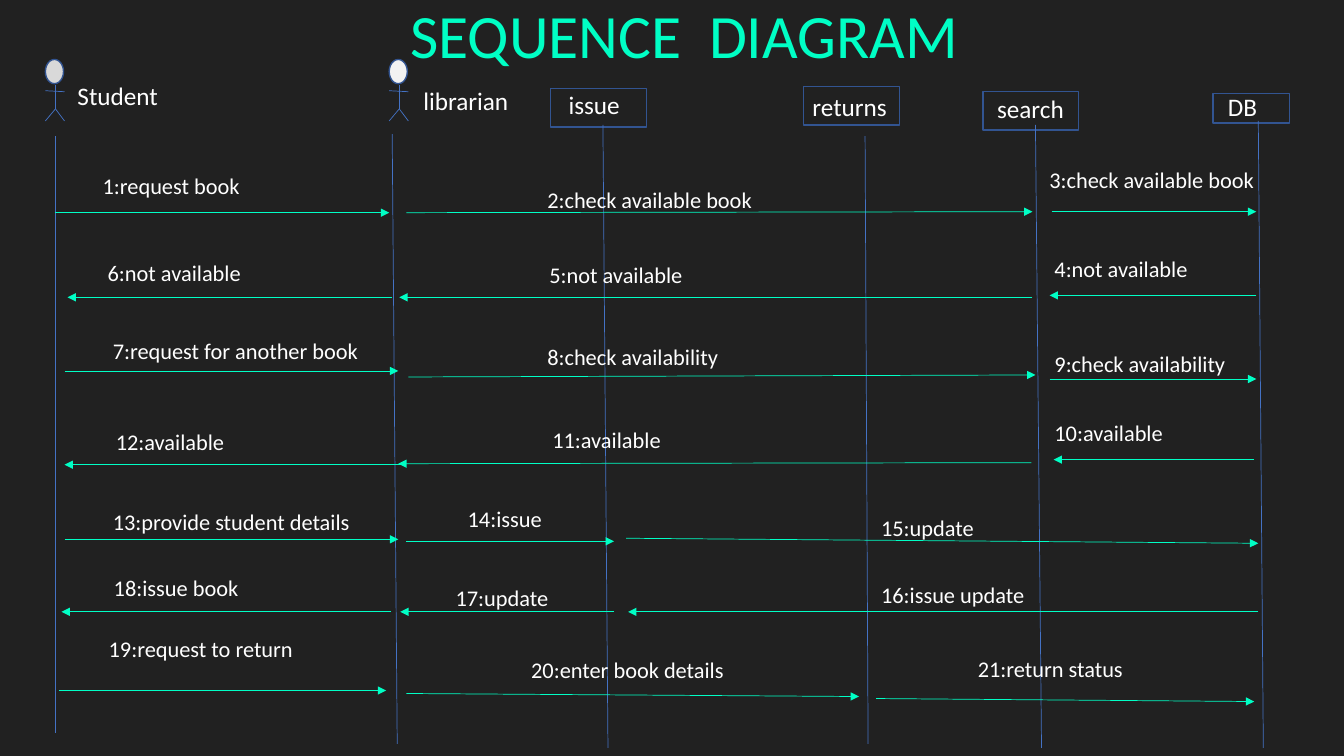
from pptx import Presentation
from pptx.dml.color import RGBColor
from pptx.enum.shapes import MSO_CONNECTOR, MSO_SHAPE
from pptx.enum.text import MSO_AUTO_SIZE
from pptx.oxml.ns import qn
from pptx.util import Inches, Pt
from lxml.etree import SubElement

BACKGROUND = RGBColor(0x21, 0x21, 0x21)
MINT = RGBColor(0x00, 0xFF, 0xC5)
WHITE = RGBColor(0xFF, 0xFF, 0xFF)
BLUE = RGBColor(0x44, 0x72, 0xC4)
OUTLINE = RGBColor(0x32, 0x54, 0x91)
LIGHT_GREY = RGBColor(0xD9, 0xD9, 0xD9)
PALE_GREY = RGBColor(0xF2, 0xF2, 0xF2)

deck = Presentation()
deck.slide_width, deck.slide_height = Inches(13.33), Inches(7.5)
page = deck.slides.add_slide(deck.slide_layouts[6])
page.background.fill.solid()
page.background.fill.fore_color.rgb = BACKGROUND


def add_text(text, *, left, top, width, height=0.37, size=16, color=WHITE, wrap=True):
    box = page.shapes.add_textbox(Inches(left), Inches(top), Inches(width), Inches(height))
    box.text_frame.word_wrap = wrap
    box.text_frame.auto_size = MSO_AUTO_SIZE.SHAPE_TO_FIT_TEXT
    span = box.text_frame.paragraphs[0].add_run()
    span.text = text
    span.font.name = "Calibri"
    span.font.size = Pt(size)
    span.font.color.rgb = color


def add_line(x1, y1, x2, y2, color=BLUE, arrow=False):
    line = page.shapes.add_connector(
        MSO_CONNECTOR.STRAIGHT, Inches(x1), Inches(y1), Inches(x2), Inches(y2))
    line.line.color.rgb = color
    line.line.width = Pt(0.5)
    if arrow:
        SubElement(line.line._get_or_add_ln(), qn("a:tailEnd"), type="triangle")
    SubElement(line._element.spPr, qn("a:effectLst"))


# Title
add_text("SEQUENCE  DIAGRAM", left=3.97, top=-0.08, width=5.67, height=0.84,
         size=44, color=MINT)

# Actors: head, body, legs and arms, with a name beside them
actors = [
    ("Student", 0.45, LIGHT_GREY, 0.67, 0.75, 1.02),
    ("librarian", 3.86, PALE_GREY, 4.1, 0.8, 1.27),
]
for name, left, head_color, name_left, name_top, name_width in actors:
    head = page.shapes.add_shape(MSO_SHAPE.FLOWCHART_CONNECTOR, Inches(left), Inches(0.59),
                                 Inches(0.18), Inches(0.24))
    head.shadow.inherit = False
    head.fill.solid()
    head.fill.fore_color.rgb = head_color
    head.line.color.rgb = OUTLINE
    head.line.width = Pt(1)
    middle, right = left + 0.1, left + 0.19
    add_line(middle, 0.84, middle, 1.08)
    add_line(middle, 1.08, left, 1.2)
    add_line(middle, 1.08, right, 1.2)
    add_line(left, 0.9, right, 0.91)
    add_text(name, left=name_left, top=name_top, width=name_width, height=0.4, size=18)

# Objects: frame (left, top, width, height) and name (left, top, width)
objects = [
    ("issue", (5.46, 0.88, 0.95, 0.38), (5.54, 0.84, 0.88)),
    ("returns", (7.97, 0.86, 0.95, 0.38), (7.96, 0.86, 1.06)),
    ("search", (9.75, 0.91, 0.95, 0.38), (9.79, 0.88, 0.95)),
    ("DB", (12.03, 0.93, 0.76, 0.29), (12.08, 0.86, 0.8)),
]
for name, frame_place, (left, top, width) in objects:
    frame = page.shapes.add_shape(MSO_SHAPE.RECTANGLE, *map(Inches, frame_place))
    frame.shadow.inherit = False
    frame.fill.background()
    frame.line.color.rgb = OUTLINE
    frame.line.width = Pt(1)
    add_text(name, left=left, top=top, width=width, height=0.4, size=18)

# Lifelines
lifelines = [
    (0.55, 1.35, 0.55, 7.27),
    (3.89, 1.33, 3.94, 7.38),
    (5.98, 1.24, 6.03, 7.42),
    (8.58, 1.35, 8.61, 7.38),
    (10.27, 1.24, 10.33, 7.42),
    (12.48, 1.2, 12.53, 7.42),
]
for ends in lifelines:
    add_line(*ends)

# Messages in order: text, its left, top and width, and the ends of its arrow
messages = [
    ("request book", 0.92, 1.66, 2.35, (0.55, 2.11, 3.86, 2.11)),
    ("check available book", 5.33, 1.8, 2.77, (4.03, 2.11, 10.24, 2.1)),
    ("check available book", 10.31, 1.6, 2.58, (10.43, 2.1, 12.46, 2.1)),
    ("not available", 10.36, 2.48, 1.71, (12.46, 2.93, 10.41, 2.93)),
    ("not available", 5.35, 2.54, 2.48, (10.24, 2.95, 3.96, 2.95)),
    ("not available", 0.97, 2.52, 1.86, (3.89, 2.95, 0.67, 2.95)),
    ("request for another book", 1.02, 3.3, 3.05, (0.64, 3.68, 3.95, 3.68)),
    ("check availability", 5.33, 3.36, 2.24, (4.05, 3.74, 10.27, 3.72)),
    ("check availability", 10.36, 3.42, 2.21, (10.41, 3.76, 12.46, 3.76)),
    ("available", 10.36, 4.11, 1.56, (12.44, 4.56, 10.45, 4.56)),
    ("available", 5.38, 4.18, 1.47, (10.23, 4.59, 3.95, 4.6)),
    ("available", 1.05, 4.2, 1.59, (4, 4.61, 0.64, 4.61)),
    ("provide student details", 1.02, 4.99, 2.58, (0.64, 5.35, 3.95, 5.35)),
    ("issue", 4.54, 4.96, 1.08, (4.03, 5.37, 6.09, 5.37)),
    ("update", 8.64, 5.05, 1.39, (6.21, 5.34, 12.48, 5.39)),
    ("issue update", 8.64, 5.72, 1.88, (12.48, 6.07, 6.23, 6.07)),
    ("update", 4.42, 5.75, 1.63, (6.09, 6.07, 3.97, 6.07)),
    ("issue book", 1.03, 5.65, 2.53, (3.88, 6.07, 0.61, 6.07)),
    ("request to return", 0.98, 6.25, 2.47, (0.59, 6.85, 3.83, 6.85)),
    ("enter book details", 5.17, 6.46, 2.76, (4.03, 6.88, 8.52, 6.91)),
    ("return status", 9.6, 6.45, 1.66, (8.69, 6.93, 12.44, 6.96)),
]
for number, (text, left, top, width, ends) in enumerate(messages, start=1):
    add_line(*ends, color=MINT, arrow=True)
    add_text(f"{number}:{text}", left=left, top=top, width=width,
             wrap=number not in (13, 21))

deck.save("out.pptx")
